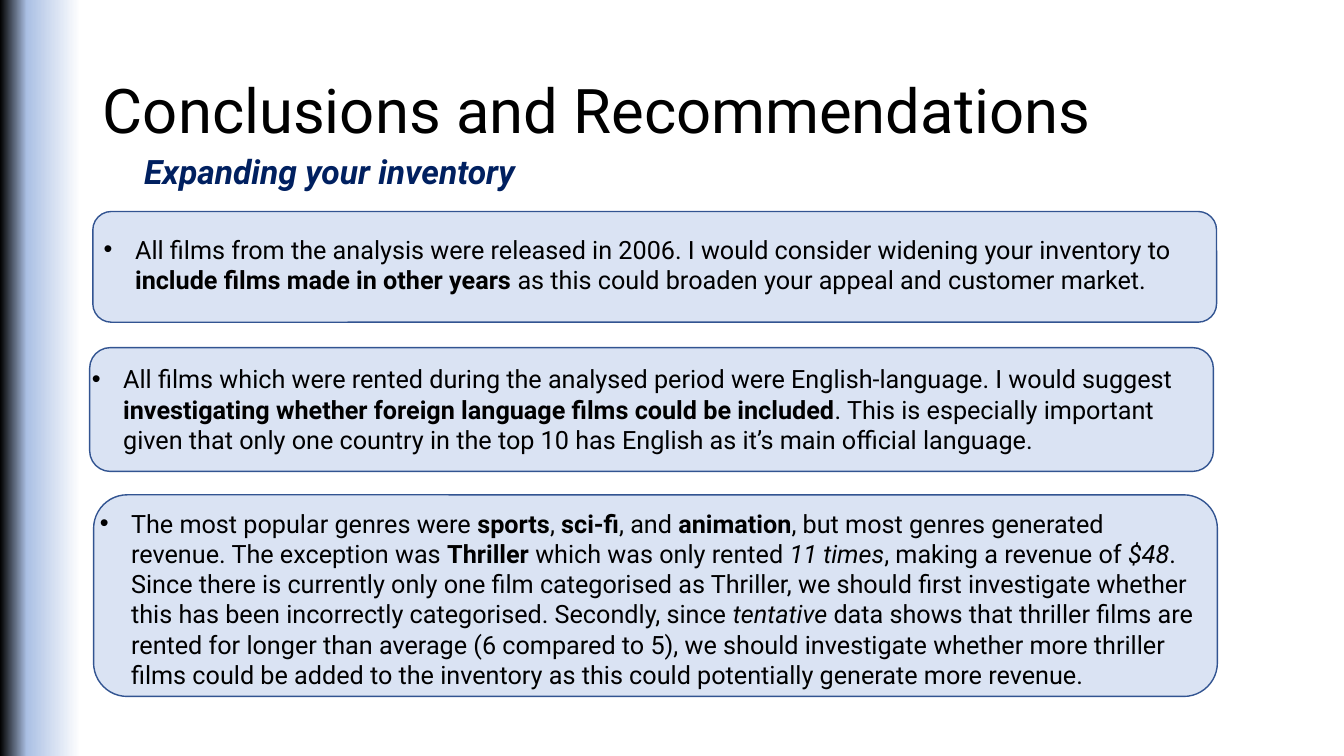
from dataclasses import dataclass

from lxml.etree import SubElement
from pptx import Presentation
from pptx.dml.color import RGBColor
from pptx.enum.shapes import MSO_SHAPE
from pptx.enum.text import MSO_ANCHOR, MSO_AUTO_SIZE, PP_ALIGN
from pptx.oxml.ns import qn
from pptx.util import Cm, Pt

FONT = "Roboto"
HUES = {
    "text": "000000",
    "navy": "002060",
    "panel": "DAE3F3",
    "edge": "325491",
    "glow": "ABC0E4",
    "white": "FFFFFF",
}
STOPS = [(0, "text"), (2, "glow"), (6, "white")]
HANG = 0.79


@dataclass
class Box:
    left: float
    top: float
    width: float
    height: float

    def area(self) -> tuple:
        return Cm(self.left), Cm(self.top), Cm(self.width), Cm(self.height)


@dataclass
class Run:
    text: str
    bold: bool = False
    slant: bool = False


@dataclass
class Point:
    panel: Box
    body: Box
    runs: list[Run]


POINTS = [
    Point(
        Box(2.34, 5.33, 28.32, 2.79),
        Box(2.36, 5.77, 27.58, 1.8),
        [
            Run("All films from the analysis were released in 2006. I would consider "
                "widening your inventory to "),
            Run("include films made in other years ", bold=True),
            Run("as this could broaden your appeal and customer market."),
        ],
    ),
    Point(
        Box(2.26, 8.76, 28.32, 3.12),
        Box(2.06, 9.04, 28.32, 3.33),
        [
            Run("All films which were rented during the analysed period were "
                "English-language. I would suggest "),
            Run("investigating whether foreign language films could be included", bold=True),
            Run(". This is especially important given that only one country in the "
                "top 10 has English as it’s main official language."),
        ],
    ),
    Point(
        Box(2.36, 12.47, 28.32, 5.08),
        Box(2.26, 12.67, 28.32, 5.64),
        [
            Run("The most popular genres were "),
            Run("sports", bold=True),
            Run(", "),
            Run("sci-fi", bold=True),
            Run(", and "),
            Run("animation", bold=True),
            Run(", but most genres generated revenue. The exception was "),
            Run("Thriller ", bold=True),
            Run("which was only rented "),
            Run("11 times", slant=True),
            Run(", making a revenue of "),
            Run("$48", slant=True),
            Run(". Since there is currently only one film categorised as Thriller, we "
                "should first investigate whether this has been incorrectly "
                "categorised. Secondly, since "),
            Run("tentative", slant=True),
            Run(" data shows that thriller films are rented for longer than average "
                "(6 compared to 5), we should investigate whether more thriller films "
                "could be added to the inventory as this could potentially generate "
                "more revenue."),
        ],
    ),
]


def write(para, text: str, *, size: float = 18, hue: str = "text",
          bold: bool = False, slant: bool = False) -> None:
    run = para.add_run()
    run.text = text
    font = run.font
    font.name, font.size = FONT, Pt(size)
    font.bold, font.italic = bold, slant
    font.color.rgb = RGBColor.from_string(HUES[hue])


def place(holder, box: Box, anchor=MSO_ANCHOR.TOP, pitch: float = 1.0):
    holder.left, holder.top, holder.width, holder.height = box.area()
    frame = holder.text_frame
    frame.word_wrap = True
    frame.auto_size = MSO_AUTO_SIZE.NONE
    frame.vertical_anchor = anchor
    para = frame.paragraphs[0]
    para.alignment = PP_ALIGN.LEFT
    para.line_spacing = pitch
    para.space_before = Pt(0)
    return para


def mark(para, bullet: str = "") -> None:
    props = para._p.get_or_add_pPr()
    hang = Cm(HANG) if bullet else 0
    props.set("marL", str(hang))
    props.set("indent", str(-hang))
    if bullet:
        SubElement(props, qn("a:buFont"), typeface="Arial")
        SubElement(props, qn("a:buChar"), char=bullet)
    else:
        SubElement(props, qn("a:buNone"))


def panel(slide, box: Box) -> None:
    shape = slide.shapes.add_shape(MSO_SHAPE.ROUNDED_RECTANGLE, *box.area())
    shape.shadow.inherit = False
    shape.fill.solid()
    shape.fill.fore_color.rgb = RGBColor.from_string(HUES["panel"])
    shape.line.color.rgb = RGBColor.from_string(HUES["edge"])
    shape.line.width = Pt(1)
    slide.shapes.title.element.addprevious(shape.element)


def shade(slide) -> None:
    fill = slide.background.fill
    fill.gradient()
    fill.gradient_angle = 0
    stops = next(slide.element.iter(qn("a:gsLst")))
    stops.clear()
    for spot, hue in STOPS:
        stop = SubElement(stops, qn("a:gs"), pos=str(spot * 1000))
        SubElement(stop, qn("a:srgbClr"), val=HUES[hue])


def main() -> None:
    deck = Presentation()
    deck.slide_width, deck.slide_height = Cm(33.87), Cm(19.05)
    slide = deck.slides.add_slide(deck.slide_layouts.get_by_name("Comparison"))
    shade(slide)
    title, lead, *lists = slide.placeholders

    para = place(title, Box(2.34, 1.02, 29.21, 3.68), MSO_ANCHOR.MIDDLE, 0.9)
    write(para, "Conclusions and Recommendations", size=44)

    para = place(lead, Box(3.38, 3.68, 16.94, 1.27))
    mark(para)
    write(para, "Expanding your inventory", size=24, hue="navy", bold=True, slant=True)

    for point, holder in zip(POINTS, lists):
        panel(slide, point.panel)
        para = place(holder, point.body)
        mark(para, "•")
        for run in point.runs:
            write(para, run.text, bold=run.bold, slant=run.slant)

    deck.save("out.pptx")


if __name__ == "__main__":
    main()
